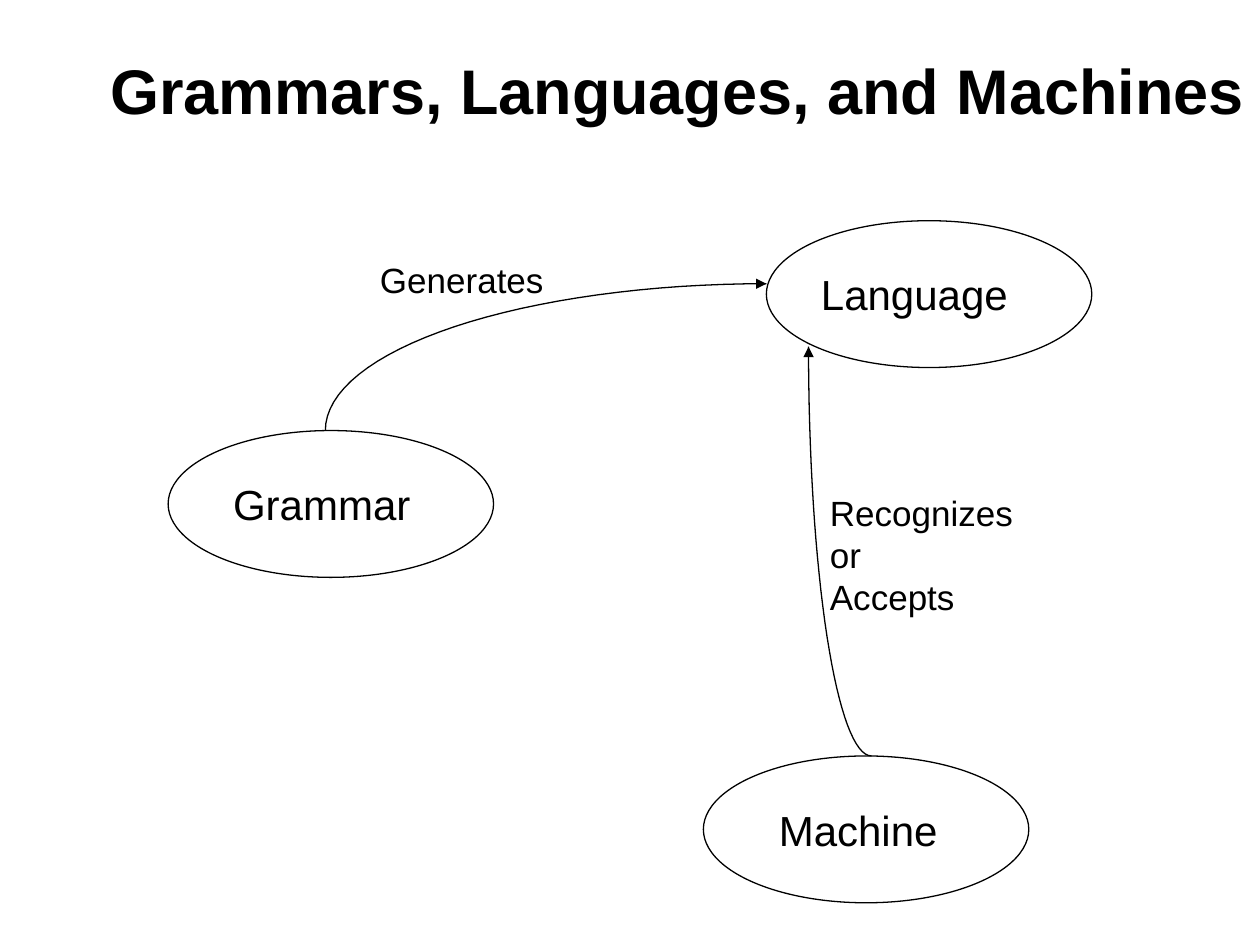
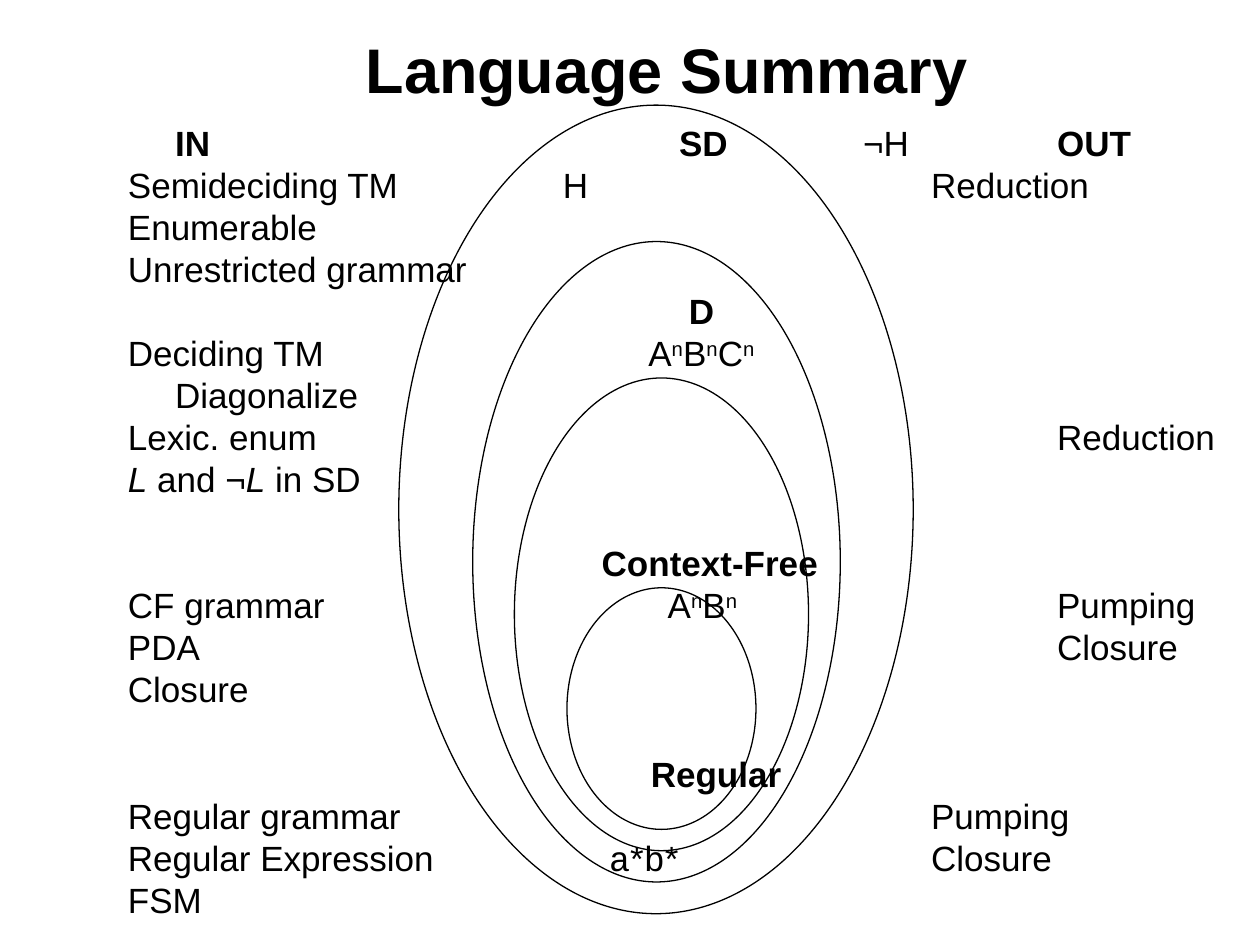
from math import cos, sin, pi
from lxml import etree
from pptx import Presentation
from pptx.dml.color import RGBColor
from pptx.enum.shapes import MSO_SHAPE, MSO_CONNECTOR
from pptx.enum.text import MSO_ANCHOR, MSO_AUTO_SIZE, PP_ALIGN
from pptx.oxml.ns import qn
from pptx.util import Cm, Pt

COLORS = {"ink": "000000", "paper": "FFFFFF"}
INK = RGBColor.from_string(COLORS["ink"])
FONT, MONO = "Arial", "Courier New"
TITLE_SIZE, NODE_SIZE, BODY_SIZE = 36, 24, 20
LINE_STEP = 1.2

prs = Presentation()
prs.slide_width, prs.slide_height = Cm(25.4), Cm(19.05)


def style_text(tf, size):
    tf.word_wrap = True
    for p in tf.paragraphs:
        p.line_spacing = Pt(size * LINE_STEP)
        for r in p.runs:
            r.font.size = Pt(size)
            r.font.name = r.font.name or FONT
            r.font.color.rgb = INK


def style_outline(sp):
    sp.shadow.inherit = False
    sp.fill.background()
    sp.line.color.rgb = INK
    sp.line.width = Pt(0.75)


# Slides with their titles and ellipses: left, top, width, height
NODE_W, NODE_H = 6.56, 2.96
slides = []
for title, title_box, ellipses in [
    ("Grammars, Languages, and Machines", (1.91, 0.64, 23.49, 2.33),
     [(15.45, 4.45, NODE_W, NODE_H), (14.18, 15.24, NODE_W, NODE_H),
      (3.39, 8.68, NODE_W, NODE_H)]),
    ("Language Summary", (1.48, 0.21, 23.92, 2.33),
     [(8.04, 2.12, 10.37, 16.3), (9.53, 4.87, 7.41, 12.91),
      (10.37, 7.62, 5.93, 9.53), (11.43, 11.85, 3.81, 4.87)]),
]:
    s = prs.slides.add_slide(prs.slide_layouts[5])
    s.background.fill.solid()
    s.background.fill.fore_color.rgb = RGBColor.from_string(COLORS["paper"])
    sp = s.shapes.title
    sp.left, sp.top, sp.width, sp.height = map(Cm, title_box)
    tf = sp.text_frame
    tf.text = title
    tf.auto_size = MSO_AUTO_SIZE.NONE
    tf.vertical_anchor = MSO_ANCHOR.MIDDLE
    style_text(tf, TITLE_SIZE)
    p = tf.paragraphs[0]
    p.alignment = PP_ALIGN.CENTER
    p.runs[0].font.bold = True
    for box in ellipses:
        style_outline(s.shapes.add_shape(MSO_SHAPE.OVAL, *map(Cm, box)))
    slides.append(s)
machines, summary = slides

# Labels of the diagram
for box, text, size in [
    ((16.3, 5.29, 6.99, 1.27), "Language", NODE_SIZE),
    ((4.45, 9.53, 8.04, 1.27), "Grammar", NODE_SIZE),
    ((15.45, 16.09, 6.35, 1.27), "Machine", NODE_SIZE),
    ((7.41, 5.08, 4.45, 1.11), "Generates", BODY_SIZE),
    ((16.48, 9.78, 4.6, 2.79), "Recognizes\nor\nAccepts", BODY_SIZE),
]:
    tf = machines.shapes.add_textbox(*map(Cm, box)).text_frame
    tf.text = text
    style_text(tf, size)

# Quarter-ellipse arcs (centre and radii), each ending in an arrowhead
STEPS = 32
for cx, cy, rx, ry, arrow in [
    (15.45, 8.68, 8.89, -2.96, (15.03, 5.72, 15.45, 5.72)),
    (17.57, 6.99, 1.27, 8.25, (16.3, 7.41, 16.3, 6.99)),
]:
    angles = [pi / 2 * i / STEPS for i in range(STEPS + 1)]
    points = [(Cm(cx - rx * cos(a)), Cm(cy + ry * sin(a))) for a in angles]
    fb = machines.shapes.build_freeform(*points[0])
    fb.add_line_segments(points[1:], close=False)
    style_outline(fb.convert_to_shape())
    c = machines.shapes.add_connector(MSO_CONNECTOR.STRAIGHT, *map(Cm, arrow))
    c.line.color.rgb = INK
    c.line.width = Pt(0.75)
    etree.SubElement(c.line._get_or_add_ln(), qn("a:tailEnd"), type="triangle")
    etree.SubElement(c._element.spPr, qn("a:effectLst"))

# Summary rows: cells of (tab position, runs of (text, style))
IN, OUT_NEAR, OUT = 0.95, 16.19, 18.73
rows = [
    [(IN, [("IN", "b")]), (11.11, [("SD", "b")]), (14.82, [("¬H", "")]),
     (OUT, [("OUT", "b")])],
    [(0, [("Semideciding TM", "")]), (8.77, [("H", "")]),
     (OUT_NEAR, [("Reduction", "")])],
    [(0, [("Enumerable", "")])],
    [(0, [("Unrestricted grammar", "")])],
    [(11.31, [("D", "b")])],
    [(0, [("Deciding TM", "")]),
     (10.49, [("A", ""), ("n", "sup"), ("B", ""), ("n", "sup"), ("C", ""),
              ("n", "sup")])],
    [(IN, [("Diagonalize", "")])],
    [(0, [("Lexic. enum", "")]), (OUT, [("Reduction", "")])],
    [(0, [("L", "i"), (" and ¬", ""), ("L", "i"), (" in SD", "")])],
    [(9.55, [("Context-Free", "b")])],
    [(0, [("CF grammar", "")]),
     (10.88, [("A", ""), ("n", "sup"), ("B", ""), ("n", "sup")]),
     (OUT, [("Pumping", "")])],
    [(0, [("PDA", "")]), (OUT, [("Closure", "")])],
    [(0, [("Closure", "")])],
    [(10.54, [("Regular", "b")])],
    [(0, [("Regular grammar", "")]), (OUT_NEAR, [("Pumping", "")])],
    [(0, [("Regular Expression", "")]),
     (9.7, [("a", "mono"), ("*", ""), ("b", "mono"), ("*", "")]),
     (OUT_NEAR, [("Closure", "")])],
    [(0, [("FSM", "")])],
]
GAP_BEFORE = {"Context-Free", "Regular"}

tb = summary.shapes.add_textbox(Cm(2.33), Cm(2.33), Cm(22.5), Cm(16.36))
tf = tb.text_frame
tf.text = "\n" * (len(rows) - 1)
for p, cells in zip(tf.paragraphs, rows):
    for x, runs in cells:
        for i, (text, style) in enumerate(runs):
            r = p.add_run()
            r.text = "\t" + text if x and i == 0 else text
            r.font.bold, r.font.italic = style == "b", style == "i"
            if style == "mono":
                r.font.name = MONO
            if style == "sup":
                r.font._element.set("baseline", "30000")
style_text(tf, BODY_SIZE)

# Row gaps and tab stops
for p, cells in zip(tf.paragraphs, rows):
    if cells[0][1][0][0] in GAP_BEFORE:
        p.space_before = Pt(BODY_SIZE * LINE_STEP)
    stops = [x for x, runs in cells if x]
    if stops:
        tabs = etree.SubElement(p._p.get_or_add_pPr(), qn("a:tabLst"))
        for x in stops:
            etree.SubElement(tabs, qn("a:tab"), pos=str(Cm(x)), algn="l")

prs.save("out.pptx")
